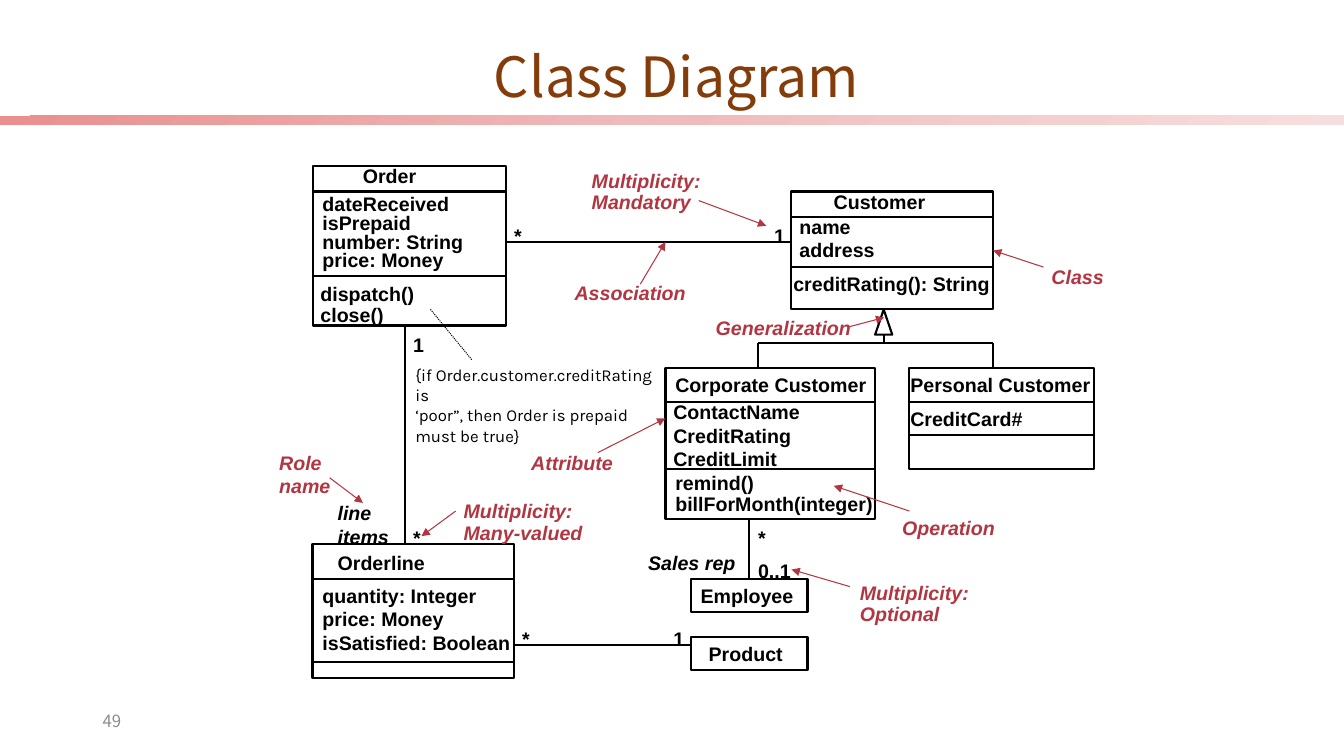
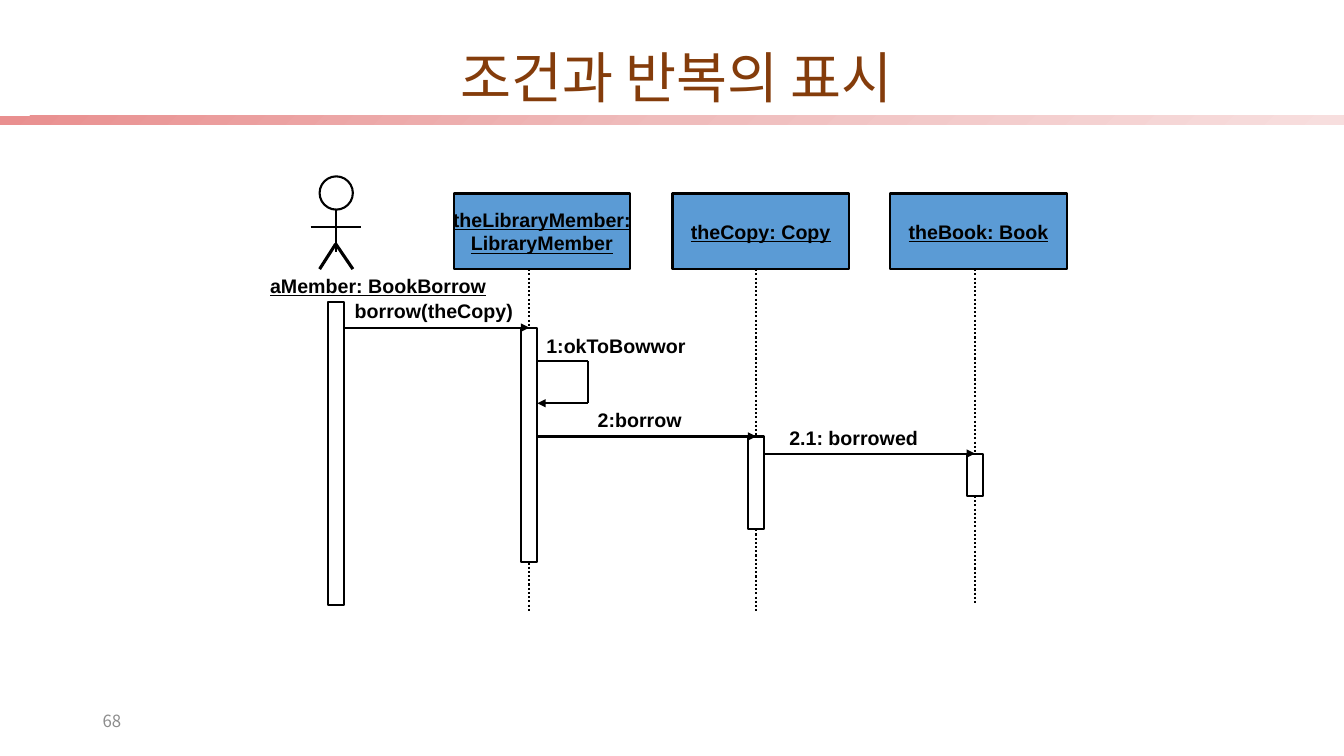
"""Build a class diagram slide and a sequence diagram slide."""
from copy import deepcopy
from dataclasses import dataclass, replace
from typing import Optional

from lxml import etree
from pptx import Presentation
from pptx.dml.color import RGBColor
from pptx.enum import dml, shapes, text
from pptx.oxml.ns import qn
from pptx.util import Emu, Pt

EMU_PER_PX = 9144
SLIDE_WIDTH, SLIDE_HEIGHT = 1333, 750
COLORS = {
    "ink": "000000", "note": "B23642", "title": "843C0B", "page": "8C8C8C",
    "object": "5B9BD5", "band_start": "E98F8F", "band_middle": "EFBCBC", "band_end": "F7DEDE",
}
KOREAN_FONT = "Noto Sans CJK KR"
BAR_HALF = 8


@dataclass(frozen=True)
class LineStyle:
    color: str = "ink"
    width: float = 1.5
    dotted: bool = False
    arrow: bool = False


@dataclass(frozen=True)
class Label:
    left: int
    top: int
    width: int
    text: str
    spacing: float = 1
    color: str = "ink"
    italic: bool = False
    underline: bool = False
    wrap: bool = False
    font: str = "Arial"
    size: int = 14
    bold: bool = True


@dataclass(frozen=True)
class Line:
    start: tuple
    end: tuple
    style: LineStyle = LineStyle()
    start_join: Optional[tuple] = None
    end_join: Optional[tuple] = None


@dataclass(frozen=True)
class ClassBox:
    name: str
    left: int
    top: int
    width: int
    height: int
    dividers: tuple = ()
    labels: tuple = ()


@dataclass(frozen=True)
class Participant:
    name: str
    left: int
    center: int
    bar_top: int
    bar_bottom: int
    end: int


SOLID = LineStyle()
DOTTED = LineStyle(dotted=True)
MESSAGE = LineStyle(arrow=True)
POINTER = LineStyle("note", 0.75, arrow=True)
CONSTRAINT = LineStyle(width=0.75, dotted=True)
LIMB = LineStyle(width=2.25)

CLASSES = (
    ClassBox("order", 310, 165, 192, 158, (190, 274), (
        Label(350, 158, 90, "Order"),
        Label(310, 190, 188, "dateReceived\nisPrepaid\nnumber: String\nprice: Money", 0.8),
        Label(308, 277, 130, "dispatch()\nclose()", 0.9))),
    ClassBox("customer", 785, 190, 200, 117, (215, 265), (
        Label(817, 183, 130, "Customer"),
        Label(783, 208, 112, "name\naddress"),
        Label(777, 265, 264, "creditRating(): String"))),
    ClassBox("corporate", 660, 365, 208, 150, (399, 465), (
        Label(660, 365, 257, "Corporate Customer"),
        Label(658, 392, 174, "ContactName\nCreditRating\nCreditLimit"),
        Label(660, 465, 273, "remind()\nbillForMonth(integer)", 0.9))),
    ClassBox("personal", 902, 365, 183, 100, (399, 432), (
        Label(893, 365, 241, "Personal Customer"),
        Label(893, 399, 166, "CreditCard#"))),
    ClassBox("orderline", 310, 540, 200, 133, (574, 657), (
        Label(325, 542, 135, "Orderline"),
        Label(310, 574, 245, "quantity: Integer\nprice: Money\nisSatisfied: Boolean"))),
    ClassBox("employee", 685, 574, 116, 33, (), (Label(685, 574, 112, "Employee", wrap=True),)),
    ClassBox("product", 685, 632, 116, 33, (), (Label(693, 632, 115, "Product"),)),
)
ASSOCIATIONS = (
    Line((502, 240), (785, 240)),
    Line((402, 324), (402, 540)),
    Line((752, 340), (985, 340)),
    Line((752, 340), (752, 365)),
    Line((985, 340), (985, 365)),
    Line((877, 332), (877, 340)),
    Line((743, 515), (743, 574), end_join=("employee", 0)),
    Line((510, 640), (685, 640)),
    Line((427, 307), (468, 357), CONSTRAINT),
)
ROLES = (
    *(Label(left, top, 30, "*") for left, top in ((500, 217), (400, 517), (508, 617), (742, 517))),
    *(Label(left, top, 34, "1") for left, top in ((758, 217), (658, 617), (400, 325))),
    Label(742, 550, 58, "0..1"),
    Label(325, 492, 78, "line\nitems", italic=True),
    Label(633, 542, 128, "Sales rep", italic=True),
    Label(402, 357, 272,
          "{if Order.customer.creditRating is\n‘poor”, then Order is prepaid\nmust be true}",
          wrap=True, font="Karla", size=12, bold=False),
)
NOTES = (
    (Label(560, 274, 153, "Association"), Line((635, 282), (660, 240))),
    (Label(1033, 258, 86, "Class"), Line((1035, 265), (985, 249), end_join=("customer", 3))),
    (Label(700, 308, 192, "Generalization"), Line((843, 324), (877, 315))),
    (Label(517, 442, 127, "Attribute"), Line((593, 449), (660, 415))),
    (Label(267, 442, 77, "Role\nname"), Line((327, 474), (360, 499))),
    (Label(450, 493, 160, "Multiplicity:\nMany-valued", 0.9), Line((452, 507), (418, 532))),
    (Label(885, 507, 136, "Operation"), Line((902, 507), (827, 482))),
    (Label(843, 574, 159, "Multiplicity:\nOptional", 0.9), Line((843, 582), (785, 565))),
    (Label(577, 165, 159, "Multiplicity:\nMandatory", 0.9), Line((693, 199), (760, 224))),
)
PARTICIPANTS = (
    Participant("theLibraryMember:\nLibraryMember", 450, 525, 325, 558, 608),
    Participant("theCopy: Copy", 667, 750, 433, 525, 608),
    Participant("theBook: Book", 883, 967, 450, 492, 600),
)
ACTOR_CENTER = 333
PARTICIPANT_TOP, PARTICIPANT_BOTTOM = 192, 267
ACTOR_LINES = (
    Line((308, 225), (358, 225)),
    Line((ACTOR_CENTER, 208), (ACTOR_CENTER, 250)),
    Line((ACTOR_CENTER, 242), (317, 267), LIMB),
    Line((ACTOR_CENTER, 242), (350, 267), LIMB),
)
SELF_CALL = (
    Line((533, 358), (583, 358)),
    Line((583, 358), (583, 400)),
    Line((583, 400), (533, 400), MESSAGE),
)
SEQUENCE_LABELS = (
    Label(258, 267, 278, "aMember: BookBorrow", underline=True),
    Label(342, 292, 213, "borrow(theCopy)"),
    Label(532, 326, 188, "1:okToBowwor"),
    Label(583, 400, 127, "2:borrow"),
    Label(773, 418, 176, "2.1: borrowed"),
)


def px(value: float) -> Emu:
    """Turn px into EMU."""
    return Emu(round(value * EMU_PER_PX))


def rgb(name: str) -> RGBColor:
    """Look up a named colour."""
    return RGBColor.from_string(COLORS[name])


def write_text(frame, content: str, *, font: str = "Arial", size: float = 14, color: str = "ink",
               bold: bool = False, italic: bool = False, underline: bool = False,
               spacing: float = 1, align=text.PP_ALIGN.LEFT, anchor=text.MSO_ANCHOR.TOP,
               wrap: bool = False, fit: bool = False) -> None:
    """Fill a text frame with one formatted paragraph per line."""
    frame.word_wrap = wrap
    frame.vertical_anchor = anchor
    frame.auto_size = text.MSO_AUTO_SIZE.SHAPE_TO_FIT_TEXT if fit else text.MSO_AUTO_SIZE.NONE
    for index, line in enumerate(content.split("\n")):
        paragraph = frame.add_paragraph() if index else frame.paragraphs[0]
        paragraph.alignment = align
        paragraph.line_spacing = spacing
        run = paragraph.add_run()
        run.text = line
        run.font.name = font
        run.font.size = Pt(size)
        run.font.bold = bold
        run.font.italic = italic
        run.font.underline = underline
        run.font.color.rgb = rgb(color)
        latin = run.font._element.find(qn("a:latin"))
        east_asian = etree.Element(qn("a:ea"), typeface=font)
        latin.addnext(east_asian)


def add_label(slide, label: Label) -> None:
    """Add a text box as tall as its lines."""
    height = 10 + (label.text.count("\n") + 1) * label.size * 1.68 * label.spacing
    box = slide.shapes.add_textbox(px(label.left), px(label.top), px(label.width), px(height))
    write_text(box.text_frame, label.text, font=label.font, size=label.size, color=label.color,
               bold=label.bold, italic=label.italic, underline=label.underline,
               spacing=label.spacing, wrap=label.wrap, fit=True)


def add_outline(slide, kind, left: int, top: int, width: int, height: int,
                fill: Optional[str] = None):
    """Add an outlined preset shape, hollow unless a fill is named."""
    shape = slide.shapes.add_shape(kind, px(left), px(top), px(width), px(height))
    shape.shadow.inherit = False
    if fill:
        shape.fill.solid()
        shape.fill.fore_color.rgb = rgb(fill)
    else:
        shape.fill.background()
    shape.line.color.rgb = rgb("ink")
    shape.line.width = Pt(1.5)
    return shape


def add_line(slide, line: Line, boxes: Optional[dict] = None) -> None:
    """Add a straight connector and join it where asked."""
    connector = slide.shapes.add_connector(
        shapes.MSO_CONNECTOR.STRAIGHT, *(px(value) for value in line.start + line.end))
    connector.line.color.rgb = rgb(line.style.color)
    connector.line.width = Pt(line.style.width)
    if line.style.dotted:
        connector.line.dash_style = dml.MSO_LINE.ROUND_DOT
    properties = connector.element.spPr
    if line.style.arrow:
        etree.SubElement(properties.find(qn("a:ln")), qn("a:tailEnd"), type="triangle")
    etree.SubElement(properties, qn("a:effectLst"))
    for join, connect in ((line.start_join, connector.begin_connect),
                          (line.end_join, connector.end_connect)):
        if join:
            connect(boxes[join[0]], join[1])


def add_band(slide) -> None:
    """Put the gradient band on the layout shared by the slides."""
    band = slide.shapes.add_shape(
        shapes.MSO_SHAPE.RECTANGLE, 0, px(115), px(SLIDE_WIDTH), px(9))
    band.shadow.inherit = False
    band.line.fill.background()
    band.fill.gradient()
    band.fill.gradient_angle = 315
    stop_list = band.element.spPr.find(".//" + qn("a:gsLst"))
    stop_list.insert(1, deepcopy(stop_list[0]))
    for index, name in enumerate(("band_start", "band_middle", "band_end")):
        stop = band.fill.gradient_stops[index]
        stop.color.rgb = rgb(name)
        stop.position = index / 2
    slide.slide_layout.shapes.element.insert(2, band.element)


def add_page(presentation, title: str, number: int, title_top: int):
    """Add a titled and numbered slide."""
    slide = presentation.slides.add_slide(presentation.slide_layouts[5])
    heading = slide.shapes.title
    heading.left, heading.top = px(60), px(title_top)
    heading.width, heading.height = px(1222), px(109 - title_top)
    write_text(heading.text_frame, title, font=KOREAN_FONT, size=39.6, color="title", spacing=0.9,
               align=text.PP_ALIGN.CENTER, anchor=text.MSO_ANCHOR.MIDDLE, wrap=True)
    footer = slide.shapes.add_textbox(px(92), px(695), px(300), px(40))
    write_text(footer.text_frame, str(number), font=KOREAN_FONT, size=12, color="page",
               anchor=text.MSO_ANCHOR.MIDDLE, wrap=True)
    return slide


def draw_classes(slide) -> None:
    """Draw the class diagram with its explanatory notes."""
    boxes = {}
    for box in CLASSES:
        boxes[box.name] = add_outline(slide, shapes.MSO_SHAPE.RECTANGLE,
                                      box.left, box.top, box.width, box.height)
        for height in box.dividers:
            add_line(slide, Line((box.left, height), (box.left + box.width, height)))
        for label in box.labels:
            add_label(slide, label)
    add_outline(slide, shapes.MSO_SHAPE.ISOSCELES_TRIANGLE, 868, 307, 17, 25)
    for line in ASSOCIATIONS:
        add_line(slide, line, boxes)
    for label in ROLES:
        add_label(slide, label)
    for label, pointer in NOTES:
        add_label(slide, replace(label, color="note", italic=True))
        add_line(slide, replace(pointer, style=POINTER), boxes)


def draw_sequence(slide) -> None:
    """Draw the actor, the lifelines and the messages."""
    rectangle = shapes.MSO_SHAPE.RECTANGLE
    add_outline(slide, shapes.MSO_SHAPE.OVAL, 317, 175, 33, 33)
    add_outline(slide, rectangle, ACTOR_CENTER - BAR_HALF, 300, 2 * BAR_HALF, 300)
    sender = ACTOR_CENTER
    for member in PARTICIPANTS:
        head = add_outline(slide, rectangle, member.left, PARTICIPANT_TOP, 175,
                           PARTICIPANT_BOTTOM - PARTICIPANT_TOP, "object")
        write_text(head.text_frame, member.name, bold=True, underline=True,
                   align=text.PP_ALIGN.CENTER, anchor=text.MSO_ANCHOR.MIDDLE)
        center, top, bottom = member.center, member.bar_top, member.bar_bottom
        bars = {"bar": add_outline(slide, rectangle, center - BAR_HALF, top,
                                   2 * BAR_HALF, bottom - top)}
        for line in (
            Line((center, PARTICIPANT_BOTTOM), (center, top), DOTTED, end_join=("bar", 0)),
            Line((center, bottom), (center, member.end), DOTTED, start_join=("bar", 2)),
            Line((sender + BAR_HALF, top), (center, top), MESSAGE, end_join=("bar", 0)),
        ):
            add_line(slide, line, bars)
        sender = center
    for line in ACTOR_LINES + SELF_CALL:
        add_line(slide, line)
    for label in SEQUENCE_LABELS:
        add_label(slide, label)


def main() -> None:
    """Build and save the presentation."""
    presentation = Presentation()
    presentation.slide_width, presentation.slide_height = px(SLIDE_WIDTH), px(SLIDE_HEIGHT)
    class_slide = add_page(presentation, "Class Diagram", 49, 48)
    add_band(class_slide)
    draw_classes(class_slide)
    draw_sequence(add_page(presentation, "조건과 반복의 표시", 68, 51))
    presentation.save("out.pptx")


if __name__ == "__main__":
    main()
